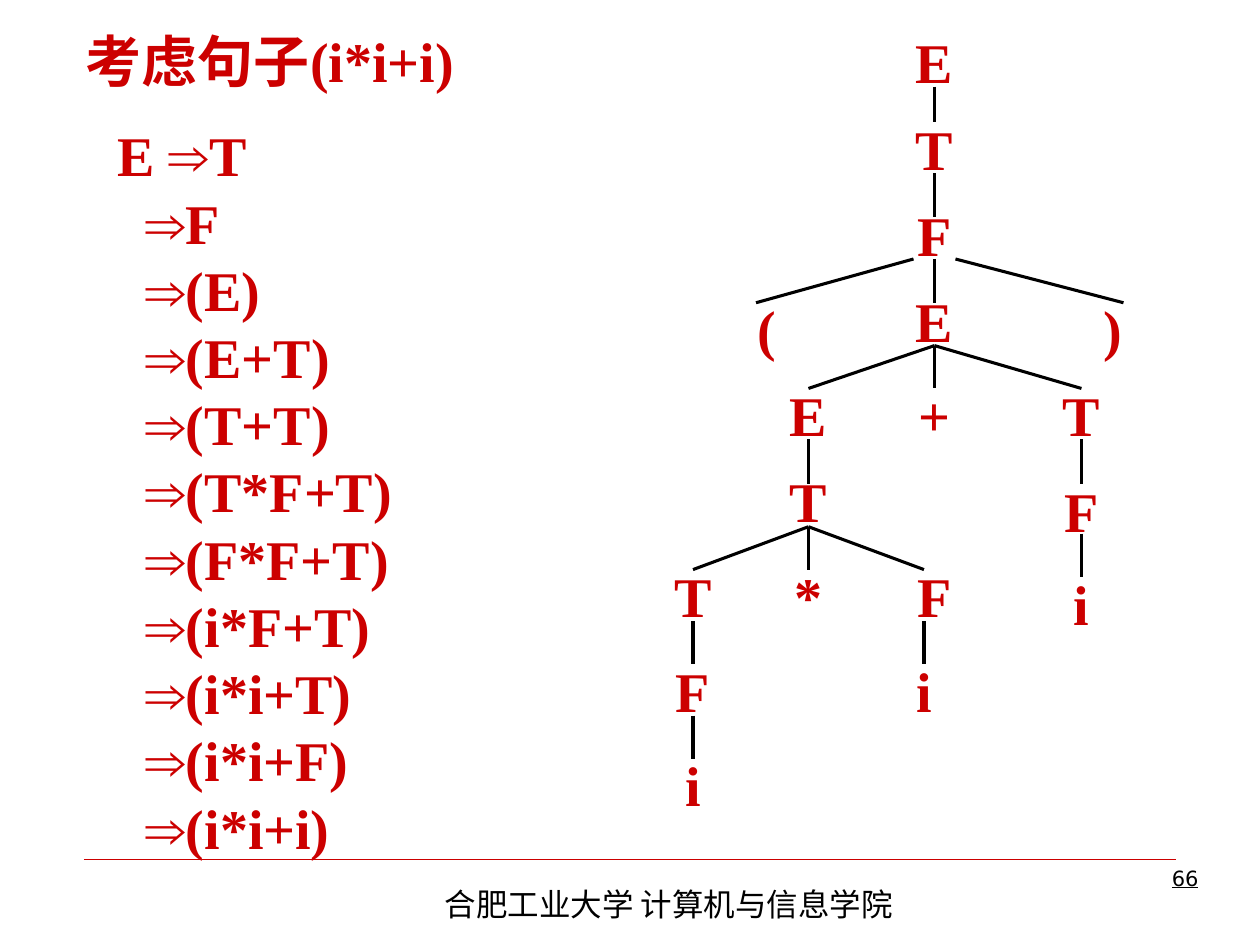
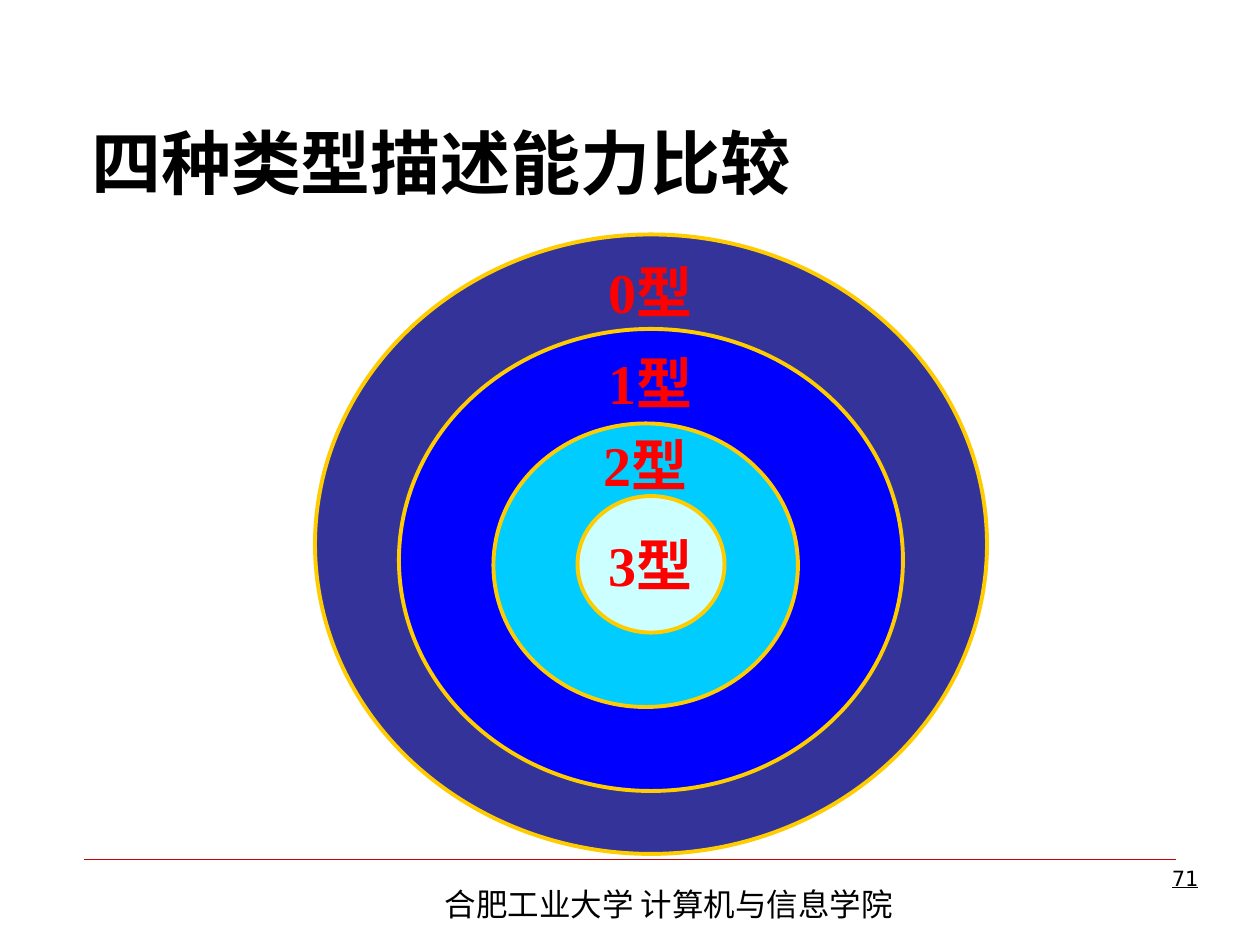
"""Build two slides on grammars: a parse tree and the nesting of the four grammar types."""
from lxml.etree import SubElement
from pptx import Presentation
from pptx.dml.color import RGBColor
from pptx.enum.shapes import MSO_CONNECTOR as Connector, MSO_SHAPE as Shape
from pptx.enum.text import MSO_ANCHOR as Anchor, PP_ALIGN as Align
from pptx.oxml.ns import qn
from pptx.util import Pt

SERIF, SANS, CJK, NUMBER = "Times New Roman", "Arial", "Noto Sans CJK SC", "DejaVu Sans"
RED, BLACK = "CC0000", "000000"
SYMBOL = {"size": Pt(32), "bold": True, "name": SERIF}
HEADING = {"size": Pt(40), "bold": True, "name": CJK}
FOOTER = {"size": Pt(18), "name": CJK}
PAGE_NUMBER = {"size": Pt(12), "underline": True, "name": NUMBER}
ARROW = "⇒"


def add_text(page, frame, lines, style, color, align=Align.LEFT, anchor=Anchor.TOP, wrap=True):
    box = page.shapes.add_textbox(*map(Pt, frame))
    text = box.text_frame
    text.word_wrap, text.vertical_anchor = wrap, anchor
    for index, line in enumerate(lines):
        para = text.add_paragraph() if index else text.paragraphs[0]
        para.alignment = align
        for part in line.replace(ARROW, f"\n{ARROW}\n").split("\n"):
            if not part:
                continue
            span = para.add_run()
            span.text = part
            for name, value in style.items():
                setattr(span.font, name, value)
            if part == ARROW:
                span.font.name = SANS
            span.font.color.rgb = RGBColor.from_string(color)
            SubElement(span.font._element, qn("a:ea"), typeface=CJK)
    return text


def add_line(page, start, end, color, width):
    line = page.shapes.add_connector(Connector.STRAIGHT, *map(Pt, (*start, *end)))
    line.line.color.rgb = RGBColor.from_string(color)
    line.line.width = Pt(width)
    SubElement(line._element.spPr, qn("a:effectLst"))


deck = Presentation()
deck.slide_width, deck.slide_height = Pt(720), Pt(540)
pages = []
for number in ("66", "71"):
    page = deck.slides.add_slide(deck.slide_layouts[6])
    add_line(page, (48, 491), (672, 491), RED, 0.25)
    add_text(page, (247, 502, 351, 29), ["合肥工业大学 计算机与信息学院"], FOOTER, BLACK)
    add_text(page, (535.5, 491, 156.5, 37.5), [number], PAGE_NUMBER, BLACK, Align.RIGHT)
    pages.append(page)
tree_page, types_page = pages

tree_nodes = [
    ("E", 534, 20), ("T", 534, 70), ("F", 534, 119),
    ("(", 438, 173), ("E", 534, 168), (")", 636, 173),
    ("E", 462, 222), ("+", 534, 222), ("T", 618, 222),
    ("T", 462, 271), ("F", 618, 276.5), ("i", 618, 330),
    ("T", 396, 325.5), ("*", 462, 325.5), ("F", 534, 325.5),
    ("F", 396, 379.5), ("i", 528, 379.5), ("i", 396, 433.5),
]
for symbol, center, top in tree_nodes:
    add_text(tree_page, (center - 24, top, 48, 29.5), [symbol], SYMBOL, RED,
             Align.CENTER, Anchor.MIDDLE, False)

tree_edges = [
    (534, 49.5, 534, 70), (534, 99, 534, 124),
    (534, 148, 534, 173), (522, 148, 432, 173), (546, 148, 642, 173),
    (534, 197.5, 462, 222), (534, 197.5, 534, 222), (534, 197.5, 618, 222),
    (462, 251, 462, 276.5), (618, 251, 618, 276.5), (618, 305, 618, 330),
    (462, 301, 396, 325.5), (462, 301, 462, 325.5), (462, 301, 528, 325.5),
    (396, 355, 396, 379.5), (528, 355, 528, 379.5), (396, 409, 396, 433.5),
]
for edge in tree_edges:
    add_line(tree_page, edge[:2], edge[2:], BLACK, 1.75)

forms = ["F", "(E)", "(E+T)", "(T+T)", "(T*F+T)", "(F*F+T)",
         "(i*F+T)", "(i*i+T)", "(i*i+F)", "(i*i+i)"]
derivation = add_text(tree_page, (60, 65.5, 252, 420),
                      [f"E {ARROW}T"] + [ARROW + form for form in forms], SYMBOL, RED)
for index, para in enumerate(derivation.paragraphs):
    para.line_spacing = Pt(38.4)
    if index:
        para._p.get_or_add_pPr().set("marL", str(Pt(16)))
add_text(tree_page, (42, 11.5, 294, 54), ["考虑句子(i*i+i)"], SYMBOL, RED)

add_text(types_page, (45, 24, 630, 96), ["四种类型描述能力比较"], HEADING, BLACK, anchor=Anchor.BOTTOM)
grammar_types = [
    ("0型", (180, 134, 384, 354), "333399", 166.5),
    ("1型", (228, 188, 288, 264), "0000FF", 218.5),
    ("2型", (282, 242, 174, 162), "00CCFF", 265),
    ("3型", (330, 283.5, 84, 78), "CCFFFF", 322.5),
]
for label, frame, fill, label_middle in grammar_types:
    oval = types_page.shapes.add_shape(Shape.OVAL, *map(Pt, frame))
    oval.shadow.inherit = False
    oval.fill.solid()
    oval.fill.fore_color.rgb = RGBColor.from_string(fill)
    oval.line.color.rgb = RGBColor.from_string("FFCC00")
    oval.line.width = Pt(2.25)
    center = frame[0] + frame[2] / 2
    add_text(types_page, (center - 42, label_middle - 27, 84, 54), [label], SYMBOL, "FF0000",
             Align.CENTER, Anchor.MIDDLE, False)

deck.save("out.pptx")
